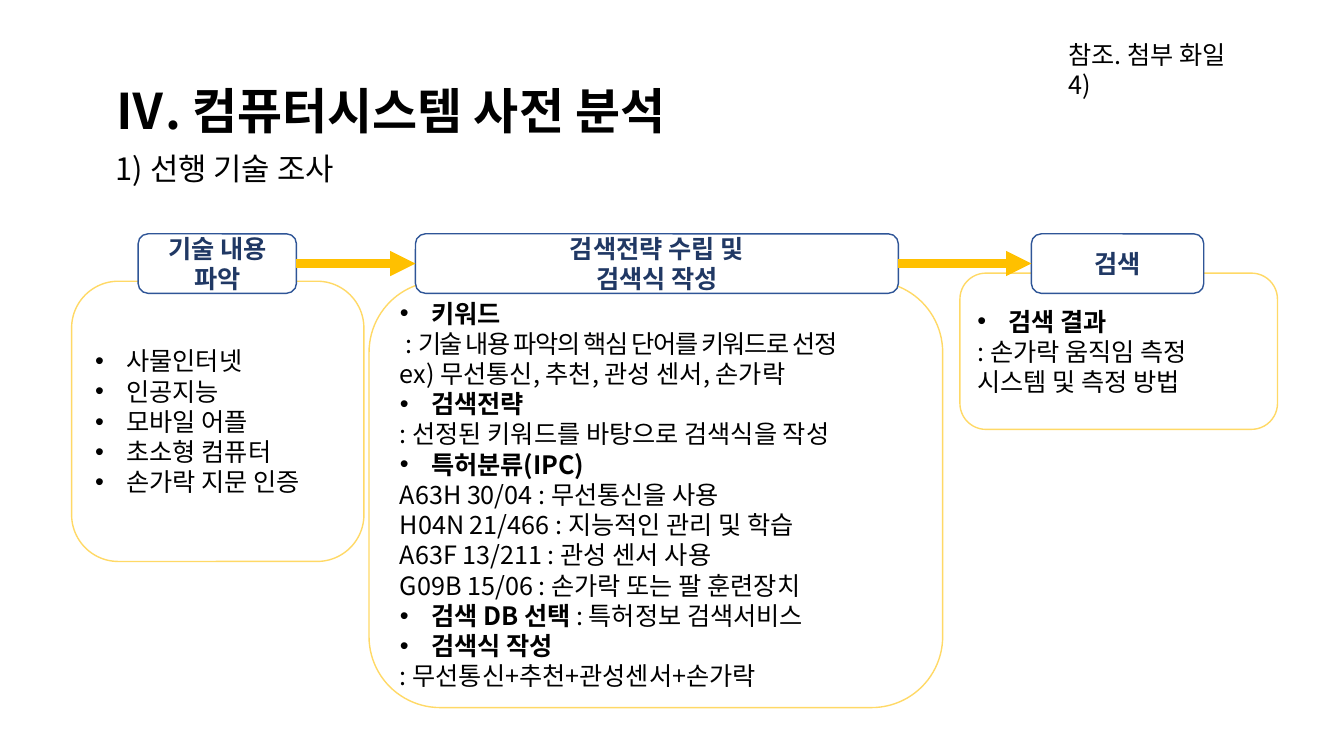
from dataclasses import dataclass

from lxml.etree import SubElement
from pptx import Presentation
from pptx.dml.color import RGBColor
from pptx.enum.shapes import MSO_CONNECTOR, MSO_SHAPE
from pptx.enum.text import MSO_ANCHOR, MSO_AUTO_SIZE, PP_ALIGN
from pptx.oxml.ns import qn
from pptx.util import Emu, Inches, Pt

FONT = "Noto Sans CJK KR"
BLACK, WHITE, NAVY = "000000", "FFFFFF", "203864"
BLUE, GOLD, AMBER = "2F5597", "FFD966", "FFC000"
WIDTH, HEIGHT = Inches(13.33), Inches(7.5)
INDENT = Inches(0.31)
BODY = 18


@dataclass(frozen=True)
class Box:
    x: float
    y: float
    w: float
    h: float

    def place(self) -> tuple[Emu, Emu, Emu, Emu]:
        return across(self.x), down(self.y), across(self.w), down(self.h)


@dataclass(frozen=True)
class Line:
    plain: str = ""
    bold: str = ""
    bullet: bool = False
    tight: str = ""


@dataclass(frozen=True)
class Stage:
    header: Box
    heading: list[Line]
    panel: Box
    body: list[Line]


def across(share: float) -> Emu:
    return Emu(int(WIDTH * share / 100))


def down(share: float) -> Emu:
    return Emu(int(HEIGHT * share / 100))


def rgb(value: str) -> RGBColor:
    return RGBColor.from_string(value)


def point(label: str) -> Line:
    return Line(bold=label, bullet=True)


def add_run(p, text: str, size: float, color: str, bold: bool, spacing: int = 0) -> None:
    r = p.add_run()
    r.text = text
    r.font.size, r.font.bold, r.font.name = Pt(size), bold, FONT
    r.font.color.rgb = rgb(color)
    rPr = r.font._element
    SubElement(rPr, qn("a:ea")).set("typeface", FONT)
    if spacing:
        rPr.set("spc", str(spacing))


def write(tf, lines: list[Line], size: float, color: str, align=PP_ALIGN.LEFT) -> None:
    tf.word_wrap = True
    for i, line in enumerate(lines):
        p = tf.paragraphs[0] if i == 0 else tf.add_paragraph()
        p.alignment = align
        p.line_spacing = Pt(size * 1.2)
        if line.bullet:
            pPr = p._p.get_or_add_pPr()
            pPr.set("marL", str(INDENT))
            pPr.set("indent", str(-INDENT))
            SubElement(pPr, qn("a:buFont")).set("typeface", "Arial")
            SubElement(pPr, qn("a:buChar")).set("char", "•")
        for text, bold, spacing in (
            (line.bold, True, 0), (line.plain, False, 0), (line.tight, False, -100)
        ):
            if text:
                add_run(p, text, size, color, bold, spacing)


def add_text(s, box: Box, text: str, size: float):
    tb = s.shapes.add_textbox(*box.place())
    tf = tb.text_frame
    write(tf, [Line(text)], size, BLACK)
    tf.auto_size = MSO_AUTO_SIZE.SHAPE_TO_FIT_TEXT
    return tf


def add_card(shapes, box: Box, outline: str, lines: list[Line], color: str, align) -> None:
    sp = shapes.add_shape(MSO_SHAPE.ROUNDED_RECTANGLE, *box.place())
    sp.shadow.inherit = False
    sp.fill.solid()
    sp.fill.fore_color.rgb = rgb(WHITE)
    sp.line.color.rgb = rgb(outline)
    sp.line.width = Pt(1)
    sp.text_frame.vertical_anchor = MSO_ANCHOR.MIDDLE
    write(sp.text_frame, lines, BODY, color, align)


def add_stage(s, stage: Stage) -> None:
    shapes = s.shapes.add_group_shape().shapes
    add_card(shapes, stage.panel, GOLD, stage.body, BLACK, PP_ALIGN.LEFT)
    add_card(shapes, stage.header, BLUE, stage.heading, NAVY, PP_ALIGN.CENTER)


def add_arrow(s, start: Box, end: Box) -> None:
    y = down(start.y + start.h / 2)
    cx = s.shapes.add_connector(
        MSO_CONNECTOR.STRAIGHT, across(start.x + start.w), y, across(end.x), y
    )
    cx.line.color.rgb = rgb(AMBER)
    cx.line.width = Pt(6)
    SubElement(cx.line._get_or_add_ln(), qn("a:tailEnd")).set("type", "triangle")
    SubElement(cx._element.spPr, qn("a:effectLst"))


def header(x: float, w: float) -> Box:
    return Box(x, 30.93, w, 7.87)


STAGES = [
    Stage(
        header(10.28, 11.78),
        [Line(bold="기술 내용"), Line(bold="파악")],
        Box(5.33, 37.2, 21.75, 37.07),
        [Line(topic, bullet=True) for topic in (
            "사물인터넷", "인공지능", "모바일 어플", "초소형 컴퓨터", "손가락 지문 인증"
        )],
    ),
    Stage(
        header(30.91, 35.93),
        [Line(bold="검색전략 수립 및"), Line(bold="검색식 작성")],
        Box(27.46, 37.2, 42.68, 56.4),
        [
            point("키워드"),
            Line(" : ", tight="기술 내용 파악의 핵심 단어를 키워드로 선정"),
            Line("ex) 무선통신, 추천, 관성 센서, 손가락"),
            point("검색전략"),
            Line(": 선정된 키워드를 바탕으로 검색식을 작성"),
            point("특허분류(IPC)"),
            Line("A63H 30/04 : 무선통신을 사용"),
            Line("H04N 21/466 : 지능적인 관리 및 학습"),
            Line("A63F 13/211 : 관성 센서 사용"),
            Line("G09B 15/06 : 손가락 또는 팔 훈련장치"),
            Line(": 특허정보 검색서비스", bold="검색 DB 선택 ", bullet=True),
            point("검색식 작성"),
            Line(": 무선통신+추천+관성센서+손가락"),
        ],
    ),
    Stage(
        header(76.74, 12.83),
        [Line(bold="검색")],
        Box(71.42, 36.13, 23.63, 20.67),
        [point("검색 결과"), Line(": 손가락 움직임 측정 시스템 및 측정 방법")],
    ),
]


def main() -> None:
    prs = Presentation()
    prs.slide_width, prs.slide_height = WIDTH, HEIGHT
    s = prs.slides.add_slide(prs.slide_layouts[5])

    title = s.shapes.title
    title.left, title.top, title.width, title.height = Box(7.88, 10, 67.29, 9.2).place()
    tf = title.text_frame
    tf.vertical_anchor = MSO_ANCHOR.TOP
    write(tf, [Line(bold="Ⅳ. 컴퓨터시스템 사전 분석")], 35, BLACK)
    tf.auto_size = MSO_AUTO_SIZE.NONE

    add_text(s, Box(7.88, 19.2, 47.26, 6.27), "1) 선행 기술 조사", 22)
    for stage in STAGES:
        add_stage(s, stage)
    for start, end in zip(STAGES, STAGES[1:]):
        add_arrow(s, start.header, end.header)
    note = add_text(s, Box(78.77, 4.53, 16.58, 5.33), "참조. 첨부 화일 4)", BODY)
    note.margin_right = across(2.6)

    prs.save("out.pptx")


if __name__ == "__main__":
    main()
